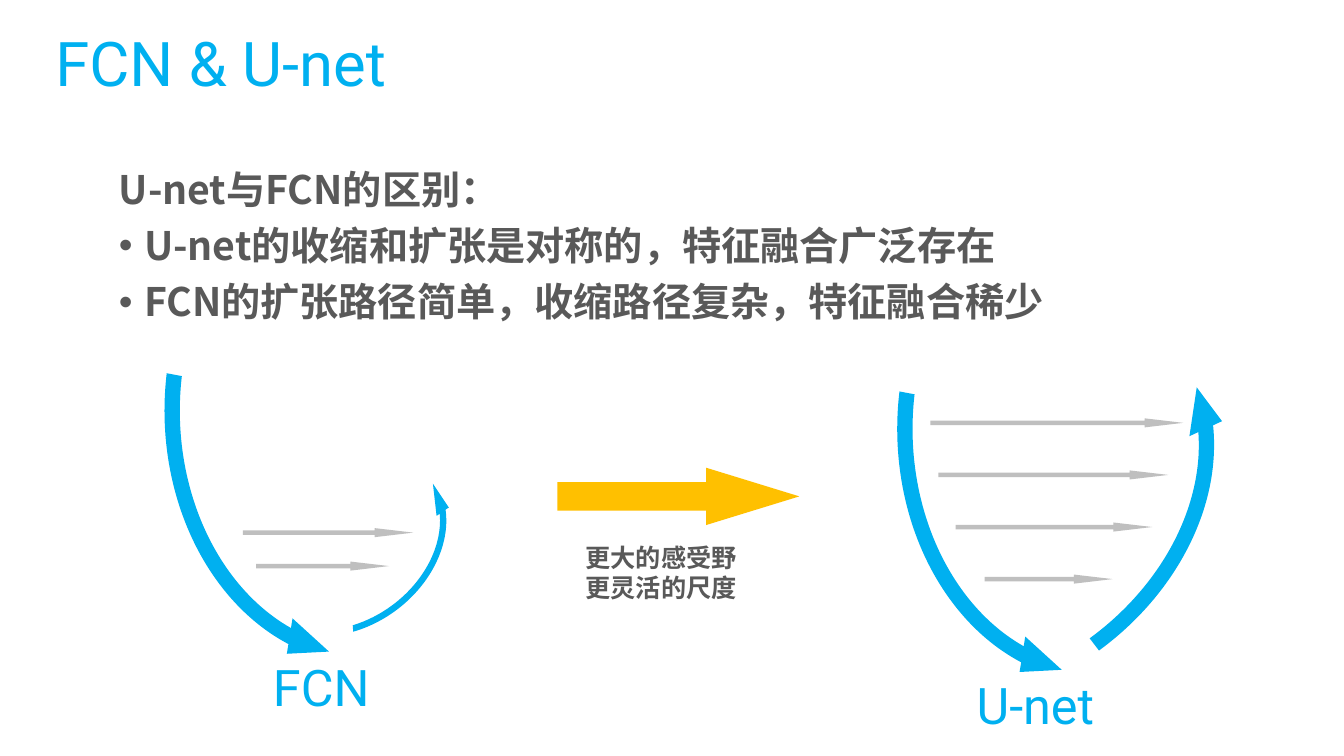
from lxml.etree import SubElement
from pptx import Presentation
from pptx.dml.color import RGBColor
from pptx.enum.shapes import MSO_SHAPE
from pptx.enum.text import MSO_ANCHOR, MSO_AUTO_SIZE
from pptx.oxml.ns import qn
from pptx.util import Pt

BLUE = RGBColor(0x00, 0xB0, 0xF0)
GREY = RGBColor(0xBF, 0xBF, 0xBF)
DARK = RGBColor(0x59, 0x59, 0x59)
AMBER = RGBColor(0xFF, 0xC0, 0x00)
LATIN, CJK = "Roboto", "Noto Sans CJK SC"

# Content: boxes are (left, top, width, height) in points
TITLE = ("FCN & U-net", (32.5, 13.5, 322.5, 67.5))
NETWORK_NAMES = [
    ("U-net", (690.5, 472.3, 116.6, 67.5)),
    ("FCN", (187.9, 459.4, 97.2, 67.5)),
]
DIFFERENCES = [
    "U-net与FCN的区别：",
    "U-net的收缩和扩张是对称的，特征融合广泛存在",
    "FCN的扩张路径简单，收缩路径复杂，特征融合稀少",
]
BENEFITS = ["更大的感受野", "更灵活的尺度"]

# Curved paths: left, top, size, rotation, flip, head angle, start angle
LARGE, SMALL = (376.6, 304.6), (160.6, 126)
PATHS = [
    (597.6, 154.1, LARGE, 90, "flipV", 5.98, 155.664),
    (508.3, 197.3, LARGE, 146.2, "flipH", 5.98, 164.25),
    (74.2, 141.1, LARGE, 90, "flipV", 5.98, 155.664),
    (167, 324.7, SMALL, 143.1, "flipH", 9.854, 142.574),
]

# Skip connections: first top, step, then (left, width) of each arrow
SKIP_HEIGHT = 6.5
SKIPS = [
    (298.8, 37.2, [(664.5, 180.7), (670.3, 164.2), (682.6, 140.4), (703.4, 91.4)]),
    (377.2, 23.9, [(173.5, 121.7), (182.9, 95)]),
]

deck = Presentation()
deck.slide_width, deck.slide_height = Pt(960), Pt(540)
slide = deck.slides.add_slide(deck.slide_layouts[6])


def add_text(lines, box, size, font, color, bold=False, anchor=MSO_ANCHOR.TOP,
             line_spacing=None, space_before=None, bullets_from=None, grow=False):
    frame = slide.shapes.add_textbox(*map(Pt, box)).text_frame
    frame.word_wrap = True
    frame.vertical_anchor = anchor
    if grow:
        frame.auto_size = MSO_AUTO_SIZE.SHAPE_TO_FIT_TEXT
    for index, line in enumerate(lines):
        paragraph = frame.add_paragraph() if index else frame.paragraphs[0]
        if line_spacing:
            paragraph.line_spacing = line_spacing
        if space_before:
            paragraph.space_before = Pt(space_before)
        if bullets_from is not None and index >= bullets_from:
            props = paragraph._p.get_or_add_pPr()
            props.set("marL", str(Pt(18)))
            props.set("indent", str(-Pt(18)))
            SubElement(props, qn("a:buFont"), typeface="Arial")
            SubElement(props, qn("a:buChar"), char="•")
        run = paragraph.add_run()
        run.text = line
        run.font.size, run.font.bold, run.font.name = Pt(size), bold, font
        run.font.color.rgb = color
        SubElement(run._r.get_or_add_rPr(), qn("a:ea"), typeface=font)


def add_arrow(preset, box, color, adjustments):
    arrow = slide.shapes.add_shape(preset, *map(Pt, box))
    arrow.shadow.inherit = False
    arrow.fill.solid()
    arrow.fill.fore_color.rgb = color
    arrow.line.fill.background()
    for index, value in enumerate(adjustments):
        arrow.adjustments[index] = value
    return arrow


# Title
add_text([TITLE[0]], TITLE[1], 44, LATIN, BLUE, anchor=MSO_ANCHOR.MIDDLE, line_spacing=0.9)

# Contracting and expanding paths
for left, top, size, rotation, flip, head, start in PATHS:
    path_arrow = add_arrow(MSO_SHAPE.CIRCULAR_ARROW, (left, top, *size), BLUE,
                           (0.036, head, 204.577, start, 0.042))
    path_arrow.rotation = rotation
    path_arrow._element.spPr.xfrm.set(flip, "1")

# Skip connections
for first_top, step, spans in SKIPS:
    for row, (left, width) in enumerate(spans):
        add_arrow(MSO_SHAPE.RIGHT_ARROW, (left, first_top + row * step, width, SKIP_HEIGHT),
                  GREY, (0.5, 4.262))

# Network names
for name, box in NETWORK_NAMES:
    add_text([name], box, 36, LATIN, BLUE, anchor=MSO_ANCHOR.MIDDLE, line_spacing=0.9)

# Differences
add_text(DIFFERENCES, (77.8, 118.1, 828, 158.4), 28, CJK, DARK, bold=True,
         line_spacing=0.9, space_before=10, bullets_from=1)

# Step from FCN to U-net
add_arrow(MSO_SHAPE.RIGHT_ARROW, (398.2, 334.1, 172.8, 41), AMBER, (0.5, 1.626))
add_text(BENEFITS, (411.1, 383.8, 127.4, 51.1), 18, CJK, DARK, bold=True, grow=True)

deck.save("out.pptx")
